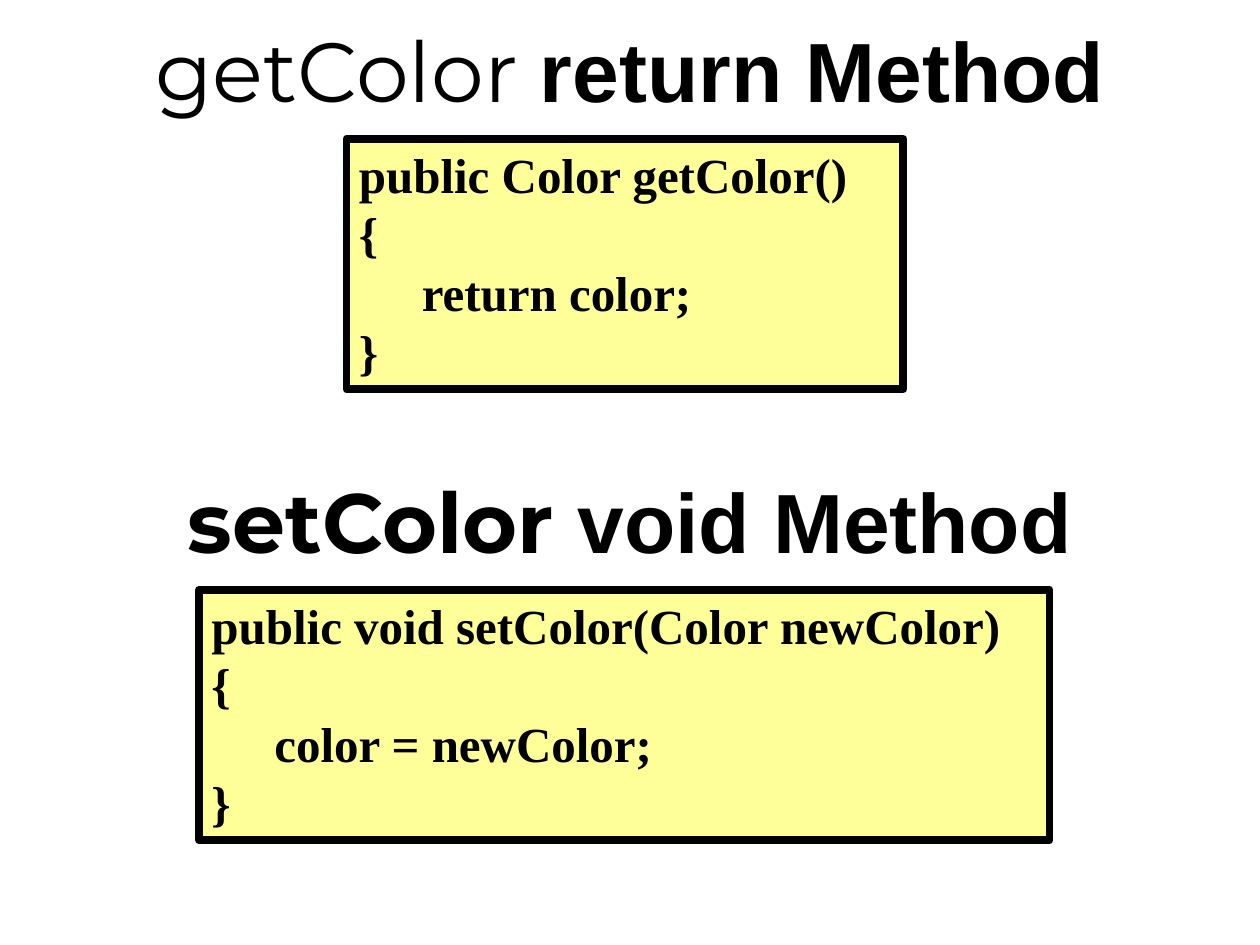
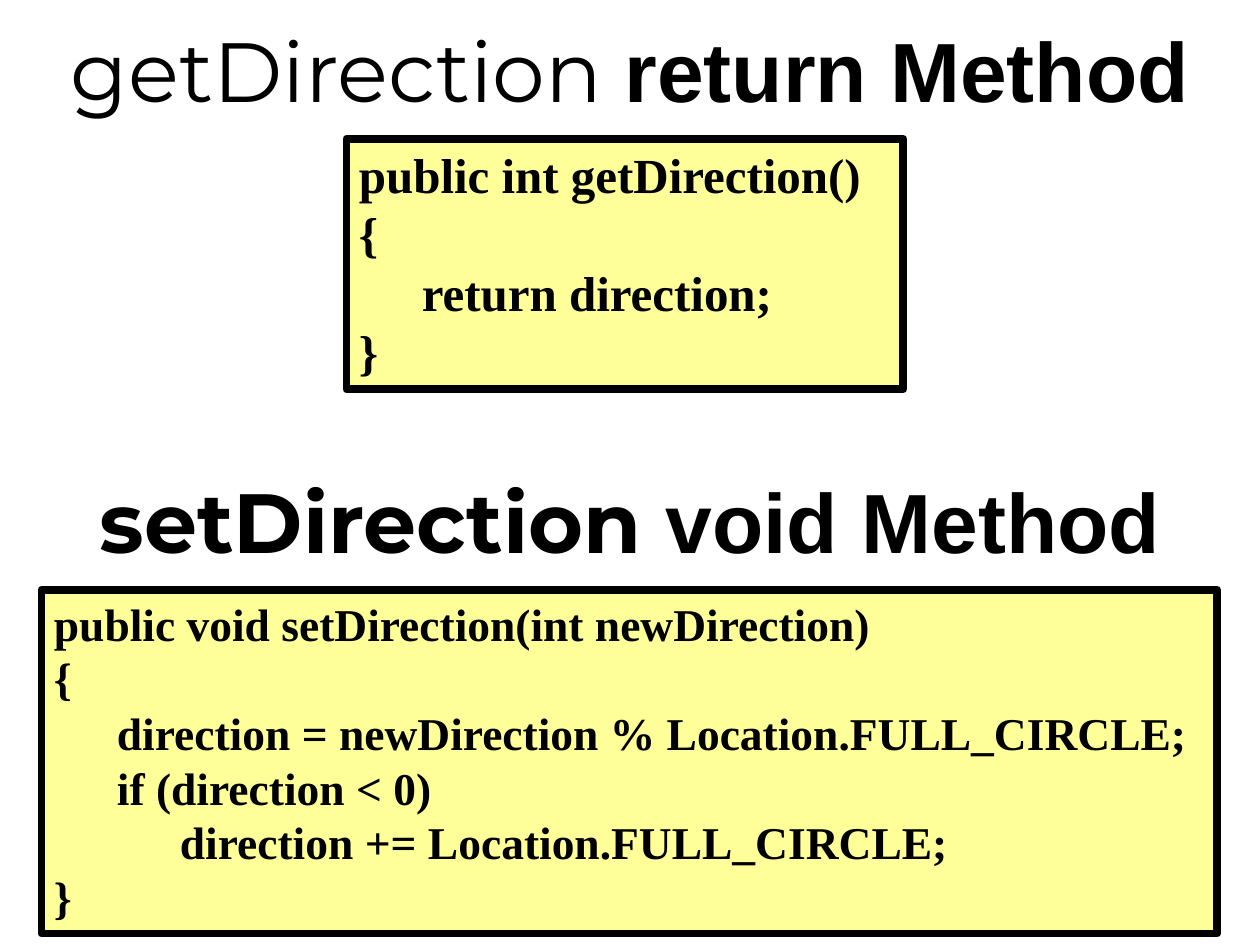
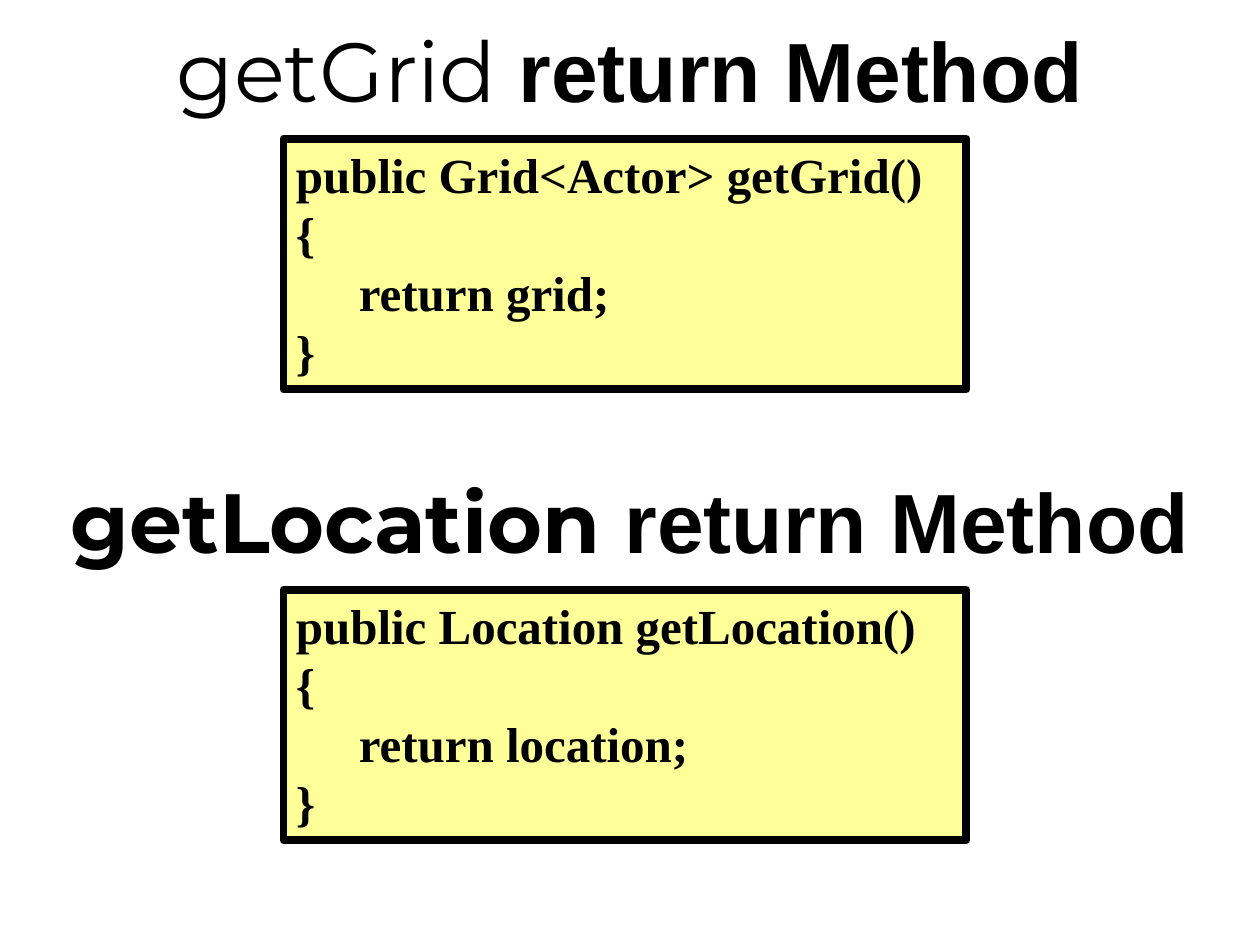
from lxml import etree
from pptx import Presentation
from pptx import util as u
from pptx.dml.color import RGBColor
from pptx.enum import shapes, text
from pptx.oxml.ns import qn

COLORS = {"ink": "000000", "code_fill": "FFFF99"}
INK = RGBColor.from_string(COLORS["ink"])
CODE_FILL = RGBColor.from_string(COLORS["code_fill"])
TITLE_H = 1.1
TITLE_TOPS = (0, 3.58)
TAB = 0.5

SLIDES = [
    [
        ("getColor", "return Method", 2.75, 4.42, 28,
         ["public Color getColor()", "{", "\treturn color;", "}"]),
        ("setColor", "void Method", 1.58, 6.75, 28,
         ["public void setColor(Color newColor)", "{", "\tcolor = newColor;", "}"]),
    ],
    [
        ("getDirection", "return Method", 2.75, 4.42, 28,
         ["public int getDirection()", "{", "\treturn direction;", "}"]),
        ("setDirection", "void Method", 0.33, 9.33, 26,
         ["public void setDirection(int newDirection)", "{",
          "\tdirection = newDirection % Location.FULL_CIRCLE;",
          "\tif (direction < 0)",
          "\t\tdirection += Location.FULL_CIRCLE;", "}"]),
    ],
    [
        ("getGrid", "return Method", 2.25, 5.42, 28,
         ["public Grid<Actor> getGrid()", "{", "\treturn grid;", "}"]),
        ("getLocation", "return Method", 2.25, 5.42, 28,
         ["public Location getLocation()", "{", "\treturn location;", "}"]),
    ],
]


def style(r, name, size, bold):
    r.font.name = name
    r.font.size = u.Pt(size)
    r.font.bold = bold
    r.font.color.rgb = INK


def add_tabs(p, count):
    tabs = etree.SubElement(p._p.get_or_add_pPr(), qn("a:tabLst"))
    for i in range(1, count + 1):
        etree.SubElement(tabs, qn("a:tab"), pos=str(u.Inches(TAB * i)), algn="l")


prs = Presentation()
prs.slide_width = u.Inches(10)
prs.slide_height = u.Inches(7.5)

for methods in SLIDES:
    s = prs.slides.add_slide(prs.slide_layouts[6])
    for i, (method, kind, left, width, size, code) in enumerate(methods):
        top = TITLE_TOPS[i]
        sp = s.shapes.add_textbox(0, u.Inches(top), prs.slide_width, u.Inches(TITLE_H))
        tf = sp.text_frame
        tf.word_wrap = True
        tf.vertical_anchor = text.MSO_ANCHOR.MIDDLE
        p = tf.paragraphs[0]
        p.alignment = text.PP_ALIGN.CENTER
        for words, font, bold in ((method + " ", "Montserrat", i == 1), (kind, "Arial", True)):
            r = p.add_run()
            r.text = words
            style(r, font, 48, bold)

        height = 1.99 if len(code) == 4 else 2.73
        sp = s.shapes.add_shape(shapes.MSO_SHAPE.RECTANGLE, u.Inches(left),
                                u.Inches(top + TITLE_H), u.Inches(width), u.Inches(height))
        sp.shadow.inherit = False
        sp.fill.solid()
        sp.fill.fore_color.rgb = CODE_FILL
        sp.line.color.rgb = INK
        sp.line.width = u.Pt(4.5)
        tf = sp.text_frame
        tf.word_wrap = True
        tf.auto_size = text.MSO_AUTO_SIZE.SHAPE_TO_FIT_TEXT
        tf.vertical_anchor = text.MSO_ANCHOR.TOP
        tf.text = "\n".join(code)
        for p in tf.paragraphs:
            p.alignment = text.PP_ALIGN.LEFT
            depth = p.text.count("\t")
            if depth:
                add_tabs(p, depth)
            style(p.runs[0], "Times New Roman", size, True)

prs.save("out.pptx")
